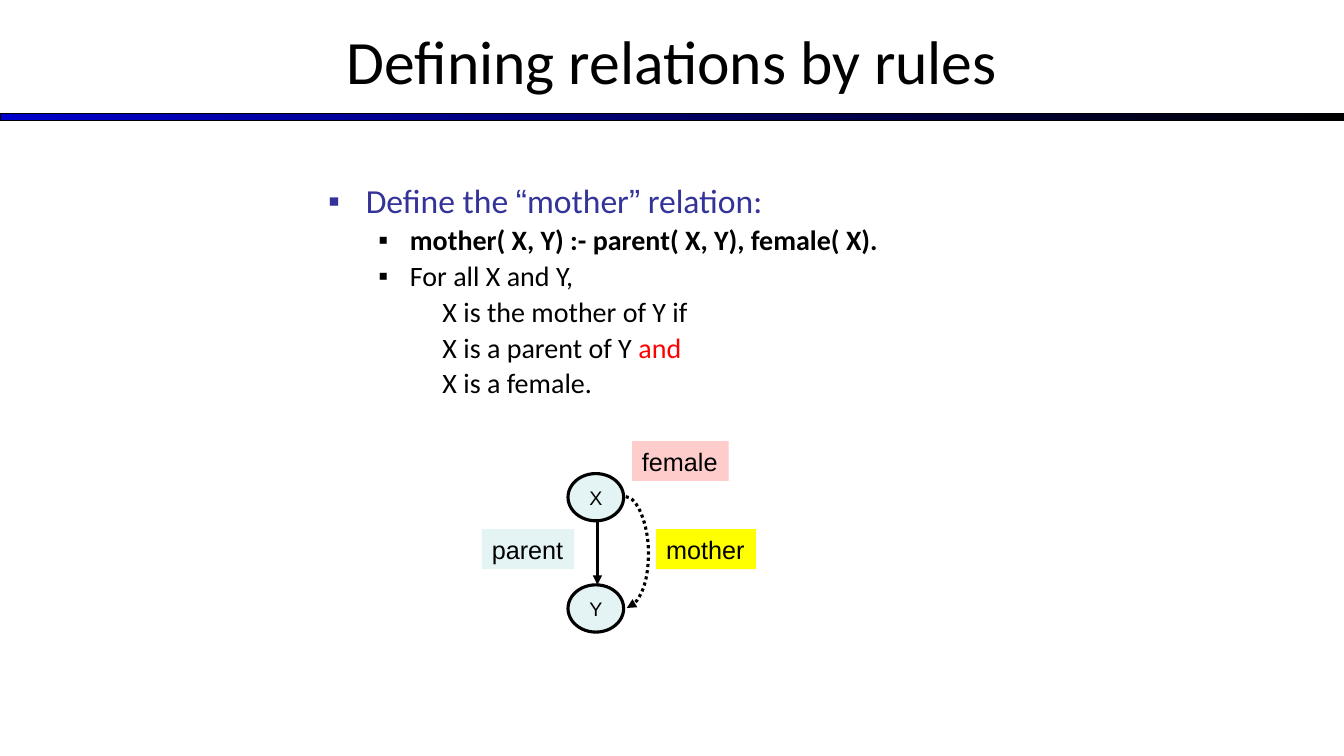
from lxml.etree import SubElement
from pptx import Presentation
from pptx.dml.color import RGBColor
from pptx.enum.dml import MSO_LINE
from pptx.enum.shapes import MSO_CONNECTOR as Connector, MSO_SHAPE as Shape
from pptx.enum.text import MSO_ANCHOR as Anchor, PP_ALIGN as Align
from pptx.oxml.ns import qn
from pptx.util import Pt

PX = 9525
THEME = {
    "ink": "000000", "heading": "333399", "accent": "FF0000",
    "bar": ("0000CC", "000000"),
    "node": "E4F3F4", "mother": "FFFF00", "female": "FFCCCC",
    "title_size": 44, "heading_size": 24, "body_size": 20,
    "label_size": 18, "node_size": 14,
    "text_font": "Calibri", "label_font": "Arial",
}


def px(*lengths):
    return [length * PX for length in lengths]


def add_run(paragraph, text, size, color="ink", font="text_font", bold=False):
    run = paragraph.add_run()
    run.text = text
    formats = {"size": Pt(THEME[size]), "name": THEME[font], "bold": bold}
    for attribute, value in formats.items():
        setattr(run.font, attribute, value)
    run.font.color.rgb = RGBColor.from_string(THEME[color])


deck = Presentation()
deck.slide_width, deck.slide_height = px(1280, 720)
slide = deck.slides.add_slide(deck.slide_layouts[6])
shapes = slide.shapes

bar = shapes.add_shape(Shape.RECTANGLE, *px(0, 108, 1280, 7))
bar.shadow.inherit = False
bar.fill.gradient()
bar.fill.gradient_angle = 0
for stop, color in zip(bar.fill.gradient_stops, THEME["bar"]):
    stop.color.rgb = RGBColor.from_string(color)
bar.line.color.rgb = RGBColor.from_string(THEME["ink"])
bar.line.width = Pt(0.75)

title = shapes.add_textbox(*px(0, -3, 1280, 120)).text_frame
title.word_wrap = True
title.vertical_anchor = Anchor.MIDDLE
title.paragraphs[0].alignment = Align.CENTER
add_run(title.paragraphs[0], "Defining relations by rules", "title_size")

heading = {"size": "heading_size", "color": "heading"}
quote = {**heading, "font": "label_font"}
plain = {"size": "body_size"}
rule = {**plain, "bold": True}
accent = {**plain, "color": "accent"}
top_level = {"margin": 36, "indent": -36, "gap": 5, "bullet": "heading"}
sub_level = {"margin": 78, "indent": -30, "gap": 4, "bullet": "ink"}
reading = {"margin": 109, "indent": 0, "gap": 4, "bullet": None}
lines = [
    (top_level, [("Define the ", heading), ("“", quote), ("mother", heading),
                 ("”", quote), (" relation:", heading)]),
    (sub_level, [("mother( X, Y) :- parent( X, Y), female( X).", rule)]),
    (sub_level, [("For all X and Y,", plain)]),
    (reading, [("X is the mother of Y if", plain)]),
    (reading, [("X is a parent of Y ", plain), ("and", accent)]),
    (reading, [("X is a female.", plain)]),
]
body = shapes.add_textbox(*px(303, 171, 768, 529)).text_frame
body.word_wrap = True
for number, (level, runs) in enumerate(lines):
    paragraph = body.add_paragraph() if number else body.paragraphs[0]
    paragraph.line_spacing = 0.9
    paragraph.space_before = Pt(level["gap"])
    properties = paragraph._p.get_or_add_pPr()
    properties.set("marL", str(level["margin"] * PX))
    properties.set("indent", str(level["indent"] * PX))
    if level["bullet"]:
        bullet_color = SubElement(properties, qn("a:buClr"))
        SubElement(bullet_color, qn("a:srgbClr"), val=THEME[level["bullet"]])
        SubElement(properties, qn("a:buFont"), typeface=THEME["label_font"])
        SubElement(properties, qn("a:buChar"), char="▪")
    for text, style in runs:
        add_run(paragraph, text, **style)

diagram = [
    ("parent", Shape.RECTANGLE, (459, 504, 88, 38), "node"),
    ("X", Shape.OVAL, (541, 451, 53, 45), "node"),
    ("Y", Shape.OVAL, (541, 557, 53, 45), "node"),
    ("mother", Shape.RECTANGLE, (625, 504, 95, 38), "mother"),
    ("female", Shape.RECTANGLE, (602, 420, 92, 38), "female"),
]
for text, outline, place, color in diagram:
    part = shapes.add_shape(outline, *px(*place))
    part.shadow.inherit = False
    part.fill.solid()
    part.fill.fore_color.rgb = RGBColor.from_string(THEME[color])
    is_node = outline == Shape.OVAL
    if is_node:
        part.line.color.rgb = RGBColor.from_string(THEME["ink"])
        part.line.width = Pt(2.25)
    else:
        part.line.fill.background()
    part.text_frame.word_wrap = False
    part.text_frame.vertical_anchor = Anchor.MIDDLE if is_node else Anchor.TOP
    label = part.text_frame.paragraphs[0]
    label.alignment = Align.CENTER if is_node else Align.LEFT
    add_run(label, text, "node_size" if is_node else "label_size", font="label_font")

parent_arrow = shapes.add_connector(Connector.STRAIGHT, *px(569, 496, 569, 557))
mother_arrow = shapes.add_connector(Connector.CURVE, *px(596, 473, 597, 579))
guides = mother_arrow._element.spPr.find(qn("a:prstGeom")).get_or_add_avLst()
SubElement(guides, qn("a:gd"), name="adj1", fmla="val 2200000")
mother_arrow.line.dash_style = MSO_LINE.ROUND_DOT
for arrow in (parent_arrow, mother_arrow):
    arrow.line.color.rgb = RGBColor.from_string(THEME["ink"])
    arrow.line.width = Pt(2.25)
    SubElement(arrow.line._get_or_add_ln(), qn("a:tailEnd"), type="triangle")
    SubElement(arrow._element.spPr, qn("a:effectLst"))

deck.save("out.pptx")
